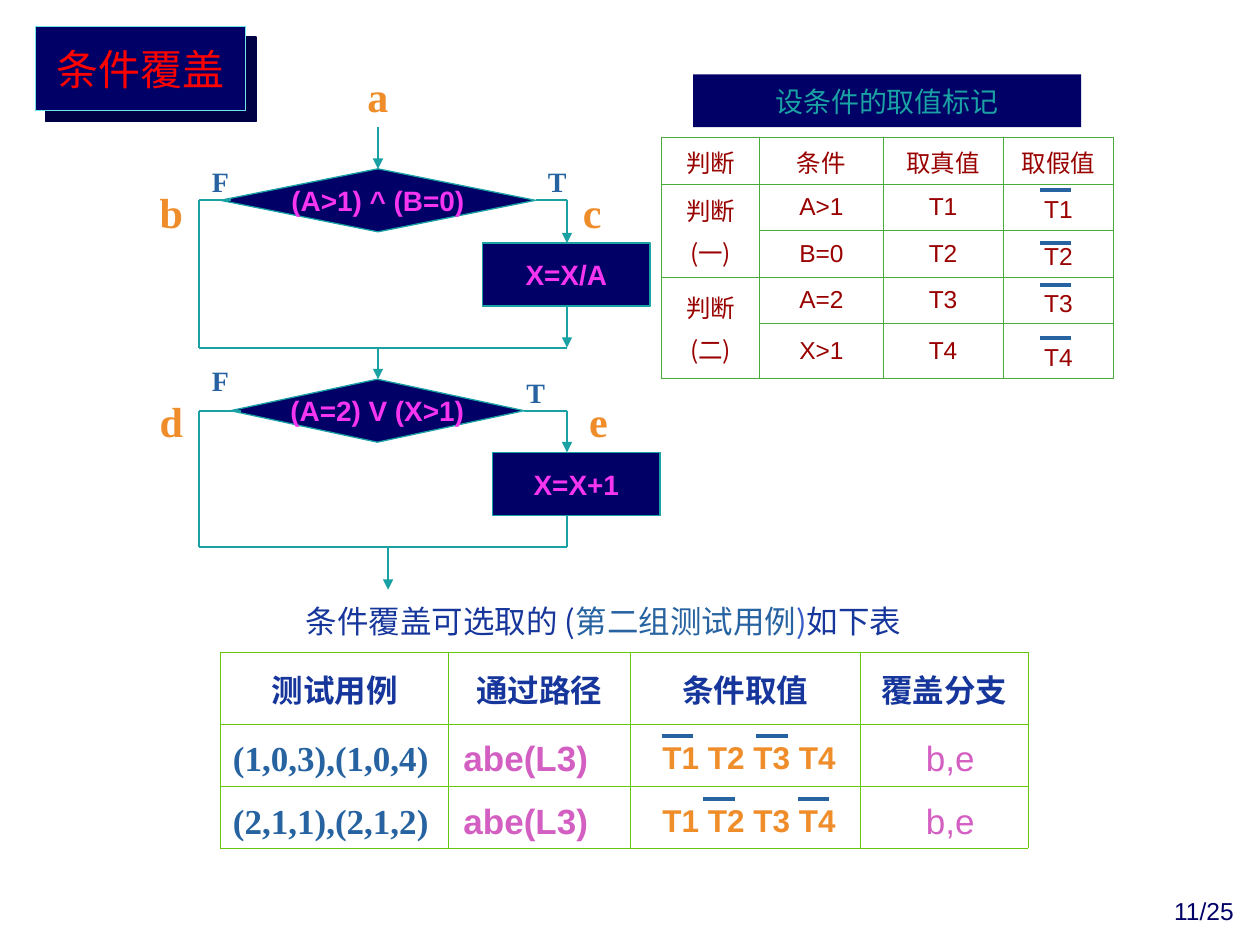
import pptx
import pptx.util
import pptx.dml.color
import pptx.enum.shapes
import pptx.enum.text
import pptx.oxml
import pptx.oxml.ns
from dataclasses import dataclass
from lxml import etree

Inches, Pt = pptx.util.Inches, pptx.util.Pt
Align, Anchor = pptx.enum.text.PP_ALIGN, pptx.enum.text.MSO_ANCHOR
ShapeKind = pptx.enum.shapes.MSO_SHAPE
qn = pptx.oxml.ns.qn


@dataclass(frozen=True)
class Theme:
    sans: str = "Arial"
    serif: str = "Times New Roman"
    chinese: str = "Noto Sans CJK SC"
    navy: str = "000066"
    shadow: str = "000044"
    teal: str = "1AA1A4"
    cyan: str = "70E5E8"
    orange: str = "EF8D2B"
    magenta: str = "F535F0"
    pink: str = "D35FC2"
    blue: str = "2663A0"
    deep_blue: str = "16369C"
    light_blue: str = "345BC8"
    dark_red: str = "990000"
    red: str = "FF0000"
    white: str = "FFFFFF"
    mark_border: str = "49AB39"
    case_border: str = "66C80C"
    small: int = 14
    label: int = 16
    body: int = 18
    case: int = 20
    large: int = 24


THEME = Theme()


def rgb(value):
    return pptx.dml.color.RGBColor.from_string(value)


def write_text(frame, runs, size, color=None, font=THEME.sans, bold=False,
               align=Align.CENTER, space_before=0):
    """Fill a frame from a string (one paragraph a line) or (text, color) runs."""
    lines = [[(line, color)] for line in runs.split("\n")] if isinstance(runs, str) else [runs]
    for index, line in enumerate(lines):
        paragraph = frame.add_paragraph() if index else frame.paragraphs[0]
        paragraph.alignment = align
        if index:
            paragraph.space_before = Pt(space_before)
        for text, run_color in line:
            run = paragraph.add_run()
            run.text = text
            run.font.name = font
            run.font.size = Pt(size)
            run.font.bold = bold
            run.font.color.rgb = rgb(run_color)
            east_asian = etree.SubElement(run.font._element, qn("a:ea"))
            east_asian.set("typeface", THEME.chinese)


def add_text(slide, left, top, width, height, runs, size, anchor=Anchor.TOP,
             align=Align.CENTER, **text_format):
    box = slide.shapes.add_textbox(Inches(left), Inches(top), Inches(width), Inches(height))
    box.text_frame.word_wrap = align != Align.CENTER
    box.text_frame.vertical_anchor = anchor
    write_text(box.text_frame, runs, size, align=align, **text_format)


def add_block(slide, kind, left, top, width, height, text, size, border=None, **text_format):
    shape = slide.shapes.add_shape(kind, Inches(left), Inches(top), Inches(width), Inches(height))
    shape.shadow.inherit = False
    shape.fill.solid()
    shape.fill.fore_color.rgb = rgb(THEME.navy)
    if border:
        shape.line.color.rgb = rgb(border)
        shape.line.width = Pt(0.75)
    else:
        shape.line.fill.background()
    shape.text_frame.word_wrap = False
    shape.text_frame.vertical_anchor = Anchor.MIDDLE
    write_text(shape.text_frame, text, size, **text_format)
    return shape


def add_hard_shadow(shape):
    effects = shape._element.spPr.find(qn("a:effectLst"))
    shadow = etree.SubElement(effects, qn("a:outerShdw"), dist=str(Pt(8.5)), dir="2700000",
                              algn="ctr", rotWithShape="0")
    etree.SubElement(shadow, qn("a:srgbClr"), val=THEME.shadow)


def add_line(slide, start, end, color=THEME.teal, width=1, arrow=False):
    connector = slide.shapes.add_connector(
        pptx.enum.shapes.MSO_CONNECTOR.STRAIGHT, *map(Inches, (*start, *end)))
    connector.line.color.rgb = rgb(color)
    connector.line.width = Pt(width)
    if arrow:
        etree.SubElement(connector.line._get_or_add_ln(), qn("a:tailEnd"), type="triangle")
    etree.SubElement(connector._element.spPr, qn("a:effectLst"))


def add_overline(slide, left, top):
    add_line(slide, (left, top), (left + 0.25, top), THEME.blue, 2.25)


def set_borders(cell, color):
    properties = cell._tc.get_or_add_tcPr()
    for index, side in enumerate(("lnL", "lnR", "lnT", "lnB")):
        properties.insert(index, pptx.oxml.parse_xml(
            f'<a:{side} xmlns:a="http://schemas.openxmlformats.org/drawingml/2006/main" '
            f'w="{Pt(0.45)}"><a:solidFill><a:srgbClr val="{color}"/></a:solidFill></a:{side}>'))


def add_grid(slide, left, top, widths, heights, border, fill=None):
    table = slide.shapes.add_table(len(heights), len(widths), Inches(left), Inches(top),
                                   Inches(sum(widths)), Inches(sum(heights))).table
    table.first_row = table.horz_banding = False
    for column, width in zip(table.columns, widths):
        column.width = Inches(width)
    for row, height in zip(table.rows, heights):
        row.height = Inches(height)
    for cell in table.iter_cells():
        cell.vertical_anchor = Anchor.MIDDLE
        if fill:
            cell.fill.solid()
            cell.fill.fore_color.rgb = rgb(fill)
        else:
            cell.fill.background()
        set_borders(cell, border)
    return table


def add_flowchart(slide):
    block_format = dict(size=THEME.label, border=THEME.teal, color=THEME.magenta, bold=True)
    for kind, left, top, width, text in (
            (ShapeKind.FLOWCHART_DECISION, 1.75, 1.34, 2.5, "(A>1) ^ (B=0)"),
            (ShapeKind.RECTANGLE, 3.83, 1.93, 1.33, "X=X/A"),
            (ShapeKind.FLOWCHART_DECISION, 1.83, 3.01, 2.33, "(A=2) V (X>1)"),
            (ShapeKind.RECTANGLE, 3.91, 3.59, 1.33, "X=X+1")):
        add_block(slide, kind, left, top, width, 0.5, text, **block_format)

    left, right = 1.58, 4.5
    for start, end in (((left, 1.59), (1.83, 1.59)), ((4.25, 1.59), (right, 1.59)),
                       ((left, 1.59), (left, 2.76)), ((left, 2.76), (right, 2.76)),
                       ((left, 3.26), (1.91, 3.26)), ((4.16, 3.26), (right, 3.26)),
                       ((left, 3.26), (left, 4.34)), ((left, 4.34), (right, 4.34)),
                       ((right, 4.09), (right, 4.34))):
        add_line(slide, start, end)
    for x, top, bottom in ((3, 1.01, 1.34), (right, 1.59, 1.93), (right, 2.43, 2.76),
                           (3, 2.76, 3.01), (right, 3.26, 3.59), (3.08, 4.34, 4.68)):
        add_line(slide, (x, top), (x, bottom), arrow=True)

    for text, x, y in (("a", 2.75, 0.51), ("b", 1.11, 1.43), ("c", 4.45, 1.43),
                       ("d", 1.11, 3.09), ("e", 4.5, 3.09)):
        add_text(slide, x, y, 0.5, 0.5, text, THEME.large, color=THEME.orange,
                 font=THEME.serif, bold=True)
    for text, x, y in (("F", 1.58, 1.26), ("T", 4.25, 1.26), ("F", 1.58, 2.84), ("T", 4.08, 2.93)):
        add_text(slide, x, y, 0.34, 0.37, text, THEME.label, color=THEME.blue,
                 font=THEME.serif, bold=True)


def add_condition_marks(slide):
    table = add_grid(slide, 5.25, 1.09, (0.78, 0.98, 0.95, 0.88),
                     (0.37, 0.37, 0.37, 0.37, 0.43), THEME.mark_border, THEME.white)
    for row in (1, 3):
        table.cell(row, 0).merge(table.cell(row + 1, 0))
    rows = (("判断", "条件", "取真值", "取假值"),
            ("判断\n(一)", "A>1", "T1", "T1"), ("", "B=0", "T2", "T2"),
            ("判断\n(二)", "A=2", "T3", "T3"), ("", "X>1", "T4", "T4"))
    for row, texts in enumerate(rows):
        for column, text in enumerate(texts):
            if not text:
                continue
            cell = table.cell(row, column)
            if row and column == 3:
                cell.vertical_anchor = Anchor.BOTTOM
            write_text(cell.text_frame, text, THEME.small, THEME.dark_red, space_before=3.5,
                       font=THEME.sans if row and column else THEME.chinese)
    add_block(slide, ShapeKind.RECTANGLE, 5.5, 0.59, 3.08, 0.42, "设条件的取值标记",
              THEME.label, color=THEME.teal, font=THEME.serif)
    for top in (1.51, 1.93, 2.26, 2.68):
        add_overline(slide, 8.25, top)


def add_test_cases(slide):
    middle_left = dict(anchor=Anchor.MIDDLE, align=Align.LEFT)
    caption = [("条件覆盖可选取的 (", THEME.deep_blue), ("第二组测试用例", THEME.blue),
               (")", THEME.light_blue), ("如下表", THEME.deep_blue)]
    add_text(slide, 2.33, 4.68, 5.83, 0.5, caption, THEME.body, font=THEME.chinese, **middle_left)
    table = add_grid(slide, 1.75, 5.18, (1.81, 1.44, 1.83, 1.33), (0.57, 0.49, 0.49),
                     THEME.case_border)
    for column, text in enumerate(("测试用例", "通过路径", "条件取值", "覆盖分支")):
        write_text(table.cell(0, column).text_frame, text, THEME.body, THEME.deep_blue, bold=True)
    for top, inputs, overlines in ((5.76, "(1,0,3),(1,0,4)", (5.25, 6)),
                                   (6.26, "(2,1,1),(2,1,2)", (5.58, 6.33))):
        add_text(slide, 1.75, top, 1.83, 0.5, inputs, THEME.case, color=THEME.blue,
                 font=THEME.serif, bold=True, **middle_left)
        add_text(slide, 3.58, top, 1.42, 0.5, "abe(L3)", THEME.case, color=THEME.pink,
                 bold=True, **middle_left)
        add_text(slide, 5.16, top + 0.08, 1.7, 0.33, "T1 T2 T3 T4", THEME.body,
                 color=THEME.orange, bold=True, **middle_left)
        add_text(slide, 7.25, top, 0.65, 0.5, "b,e", THEME.case, color=THEME.pink, **middle_left)
        for left in overlines:
            add_overline(slide, left, top + 0.08)


def main():
    presentation = pptx.Presentation()
    presentation.slide_width, presentation.slide_height = Inches(10), Inches(7.5)
    slide = presentation.slides.add_slide(presentation.slide_layouts[6])
    add_text(slide, 9.1, 7.06, 0.79, 0.32, "11/25", THEME.small, color=THEME.navy,
             align=Align.RIGHT)
    add_flowchart(slide)
    add_condition_marks(slide)
    add_test_cases(slide)
    title = add_block(slide, ShapeKind.RECTANGLE, 0.28, 0.21, 1.67, 0.67, "条件覆盖",
                      THEME.large, border=THEME.cyan, color=THEME.red, font=THEME.serif)
    add_hard_shadow(title)
    presentation.save("out.pptx")


if __name__ == "__main__":
    main()
